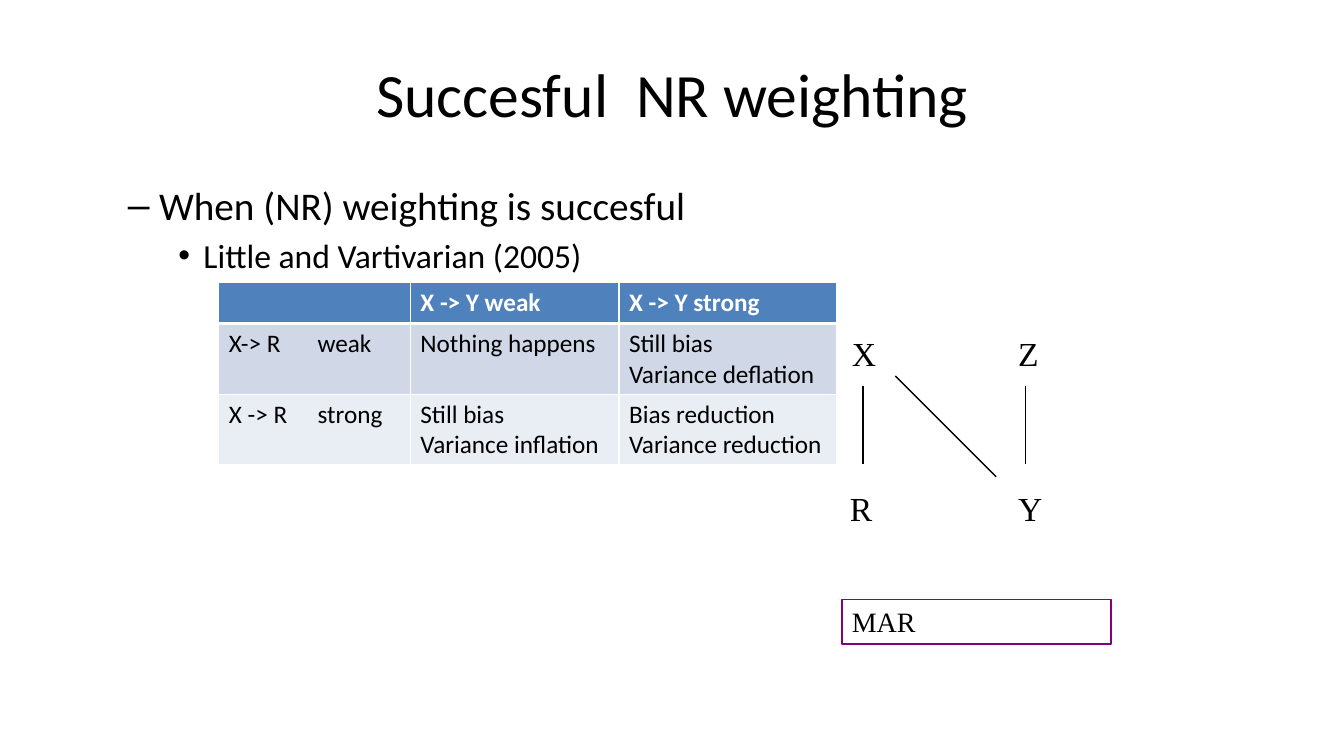
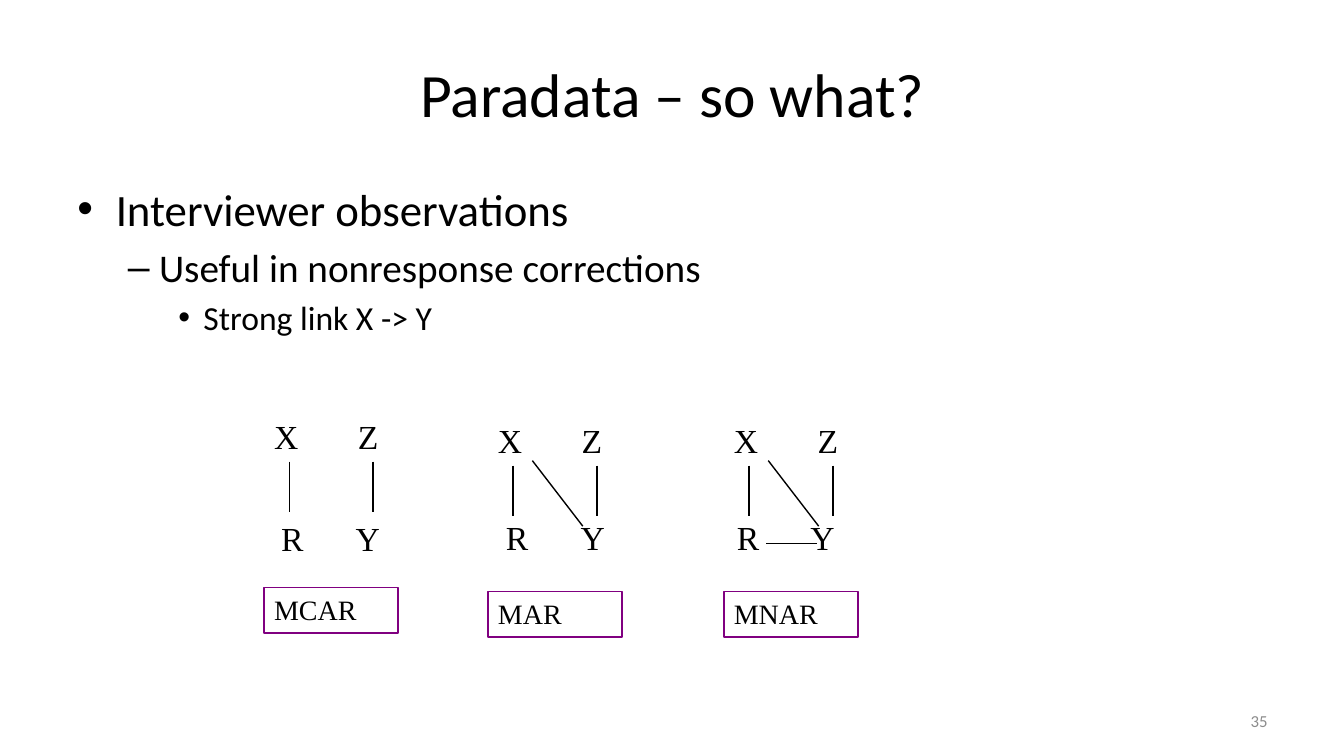
from dataclasses import dataclass
from typing import NamedTuple

from lxml import etree
from pptx import Presentation
from pptx.dml.color import RGBColor
from pptx.enum.shapes import MSO_CONNECTOR as Connector, MSO_SHAPE as Shape
from pptx.enum.text import MSO_ANCHOR as Anchor, PP_ALIGN as Align
from pptx.oxml.ns import qn
from pptx.util import Inches, Pt

COLORS = {
    "text": "000000",
    "white": "FFFFFF",
    "header": "4F81BD",
    "band_dark": "D0D8E8",
    "band_light": "E9EDF4",
    "label_line": "800080",
    "page": "8C8C8C",
}
SANS, SERIF = "Calibri", "Times New Roman"


class Level(NamedTuple):
    indent: float
    hanging: float
    bullet: str
    size: int


LEVELS = (
    Level(0.38, 0.38, "•", 32),
    Level(0.81, 0.31, "–", 28),
    Level(1.25, 0.25, "•", 24),
)


@dataclass(frozen=True)
class Layout:
    """Measures of a graph, relative to its top left corner."""
    node_w: float
    z_left: float
    bar_lefts: tuple[float, float]
    bar_top: float
    bar_bottom: float
    diagonal: tuple[float, float, float, float]
    label_top: float
    label_w: float
    label_h: float


@dataclass(frozen=True)
class Graph:
    label: str
    left: float
    top: float
    layout: Layout
    r_left: float
    y_left: float
    lower_top: float
    x_to_y: bool = True
    r_to_y: bool = False


LARGE = Layout(1.17, 1.65, (0.21, 1.82), 0.58, 1.35,
               (0.53, 0.48, 1.53, 1.48), 2.7, 2.67, 0.44)
SMALL = Layout(0.58, 0.83, (0.25, 1.08), 0.5, 1.0,
               (0.44, 0.45, 0.94, 1.1), 1.75, 1.33, 0.45)
R_TO_Y = (0.42, 1.27, 0.92, 1.27)

WEIGHTING_GRAPH = Graph("MAR", 8.35, 3.25, LARGE, -0.02, 1.65, 1.54)
MISSINGNESS_GRAPHS = (
    Graph("MCAR", 2.62, 4.08, SMALL, 0.07, 0.81, 1.01, x_to_y=False),
    Graph("MAR", 4.84, 4.12, SMALL, 0.08, 0.82, 0.96),
    Graph("MNAR", 7.18, 4.12, SMALL, 0.03, 0.76, 0.96, r_to_y=True),
)

TABLE_ROWS = (
    ("", "X -> Y weak", "X -> Y strong"),
    ("X-> R\tweak", "Nothing happens", "Still bias\nVariance deflation"),
    ("X -> R\tstrong", "Still bias\nVariance inflation",
     "Bias reduction\nVariance reduction"),
)
COLUMN_WIDTHS = (1.9, 2.07, 2.16)
ROW_HEIGHTS = (0.41, 0.7, 0.7)
ROW_FILLS = ("header", "band_dark", "band_light")
TAB_STOP = 0.88


def rgb(name: str) -> RGBColor:
    return RGBColor.from_string(COLORS[name])


def style(p, size: int, font: str = SANS, color: str = "text",
          bold: bool = False) -> None:
    for r in p.runs:
        r.font.name, r.font.size, r.font.bold = font, Pt(size), bold
        r.font.color.rgb = rgb(color)


def add_text(s, text: str, left: float, top: float, width: float,
             height: float, size: int, font: str = SANS,
             color: str = "text", align=Align.LEFT, anchor=Anchor.TOP) -> None:
    tb = s.shapes.add_textbox(*map(Inches, (left, top, width, height)))
    tf = tb.text_frame
    tf.word_wrap, tf.vertical_anchor = True, anchor
    tf.text = text
    p = tf.paragraphs[0]
    p.alignment = align
    style(p, size, font, color)


def add_title(s, text: str) -> None:
    add_text(s, text, 0.67, 0.3, 12, 1.25, 44,
             align=Align.CENTER, anchor=Anchor.MIDDLE)


def add_bullets(s, items: tuple[tuple[int, str], ...]) -> None:
    tb = s.shapes.add_textbox(*map(Inches, (0.67, 1.75, 12, 4.95)))
    tf = tb.text_frame
    tf.word_wrap = True
    tf.text = "\n".join(text for _, text in items)
    for p, (depth, _) in zip(tf.paragraphs, items):
        level = LEVELS[depth]
        p.level = depth
        p.space_before = Pt(level.size * 0.2)
        style(p, level.size)
        pPr = p._p.get_or_add_pPr()
        pPr.set("marL", str(Inches(level.indent)))
        pPr.set("indent", str(-Inches(level.hanging)))
        etree.SubElement(pPr, qn("a:buFont"), typeface="Arial")
        etree.SubElement(pPr, qn("a:buChar"), char=level.bullet)


def add_line(s, x1: float, y1: float, x2: float, y2: float) -> None:
    line = s.shapes.add_connector(Connector.STRAIGHT,
                                  *map(Inches, (x1, y1, x2, y2)))
    line.line.color.rgb = rgb("text")
    line.line.width = Pt(1)
    etree.SubElement(line._element.spPr, qn("a:effectLst"))


def add_label(s, text: str, left: float, top: float, width: float,
              height: float) -> None:
    sp = s.shapes.add_shape(Shape.RECTANGLE,
                            *map(Inches, (left, top, width, height)))
    sp.shadow.inherit = False
    sp.fill.background()
    sp.line.color.rgb = rgb("label_line")
    sp.line.width = Pt(1)
    tf = sp.text_frame
    tf.word_wrap, tf.vertical_anchor = True, Anchor.TOP
    tf.text = text
    tf.paragraphs[0].alignment = Align.LEFT
    style(tf.paragraphs[0], 20, SERIF)


def add_graph(s, g: Graph) -> None:
    lay = g.layout
    nodes = (("X", 0, 0), ("Z", lay.z_left, 0),
             ("R", g.r_left, g.lower_top), ("Y", g.y_left, g.lower_top))
    for name, dx, dy in nodes:
        add_text(s, name, g.left + dx, g.top + dy, lay.node_w, 0.5, 24, SERIF)
    links = [(x, lay.bar_top, x, lay.bar_bottom) for x in lay.bar_lefts]
    if g.x_to_y:
        links.append(lay.diagonal)
    if g.r_to_y:
        links.append(R_TO_Y)
    for x1, y1, x2, y2 in links:
        add_line(s, g.left + x1, g.top + y1, g.left + x2, g.top + y2)
    add_label(s, g.label, g.left, g.top + lay.label_top,
              lay.label_w, lay.label_h)


def set_borders(cell, top: float, bottom: float) -> None:
    """Draw white borders; the side borders are 1 point wide."""
    tcPr = cell._tc.get_or_add_tcPr()
    for side, width in (("L", 1), ("R", 1), ("T", top), ("B", bottom)):
        ln = etree.SubElement(tcPr, qn(f"a:ln{side}"), w=str(Pt(width)))
        fill = etree.SubElement(ln, qn("a:solidFill"))
        etree.SubElement(fill, qn("a:srgbClr"), val=COLORS["white"])


def add_tab_stop(p, position: float) -> None:
    tabs = etree.SubElement(p._p.get_or_add_pPr(), qn("a:tabLst"))
    etree.SubElement(tabs, qn("a:tab"), pos=str(Inches(position)), algn="l")


def add_weighting_table(s) -> None:
    table = s.shapes.add_table(
        len(TABLE_ROWS), len(COLUMN_WIDTHS), Inches(2.17), Inches(2.8),
        Inches(sum(COLUMN_WIDTHS)), Inches(sum(ROW_HEIGHTS))).table
    for column, width in zip(table.columns, COLUMN_WIDTHS):
        column.width = Inches(width)
    for i, texts in enumerate(TABLE_ROWS):
        table.rows[i].height = Inches(ROW_HEIGHTS[i])
        header = i == 0
        for j, text in enumerate(texts):
            cell = table.cell(i, j)
            set_borders(cell, 3 if i == 1 else 1, 3 if header else 1)
            cell.fill.solid()
            cell.fill.fore_color.rgb = rgb(ROW_FILLS[i])
            cell.text_frame.text = text
            for p in cell.text_frame.paragraphs:
                style(p, 18, color="white" if header else "text", bold=header)
                if "\t" in text:
                    add_tab_stop(p, TAB_STOP)


def build_weighting(s) -> None:
    add_title(s, "Succesful  NR weighting")
    add_bullets(s, ((1, "When (NR) weighting is succesful"),
                    (2, "Little and Vartivarian (2005)")))
    add_graph(s, WEIGHTING_GRAPH)
    add_weighting_table(s)


def build_paradata(s) -> None:
    add_title(s, "Paradata – so what?")
    add_bullets(s, ((0, "Interviewer observations"),
                    (1, "Useful in nonresponse corrections"),
                    (2, "Strong link X -> Y")))
    for graph in MISSINGNESS_GRAPHS:
        add_graph(s, graph)
    add_text(s, "35", 9.56, 6.95, 3.11, 0.4, 12, color="page",
             align=Align.RIGHT, anchor=Anchor.MIDDLE)


def main() -> None:
    prs = Presentation()
    prs.slide_width, prs.slide_height = Inches(13.33), Inches(7.5)
    blank = prs.slide_layouts[6]
    for build in (build_weighting, build_paradata):
        build(prs.slides.add_slide(blank))
    prs.save("out.pptx")


if __name__ == "__main__":
    main()
